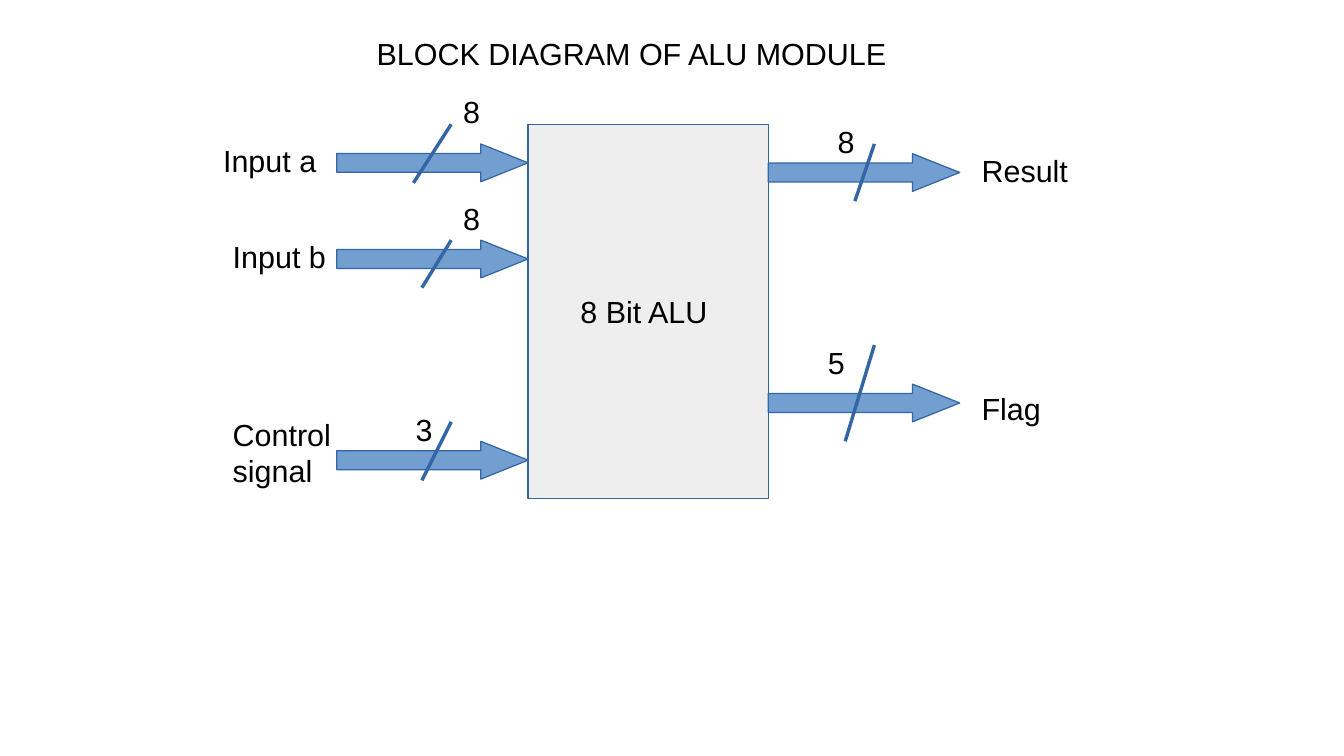
from pptx import Presentation
from pptx import util as u
from pptx.dml.color import RGBColor
from pptx.enum import shapes, text
from pptx.oxml.ns import qn
from lxml import etree

Pt = u.Pt
BLUE, LINE, GREY, BLACK = "729FCF", "3465A4", "EEEEEE", "000000"

deck = Presentation()
deck.slide_width, deck.slide_height = Pt(793.44), Pt(446.4)
slide = deck.slides.add_slide(deck.slide_layouts[6])
parts = slide.shapes


def color(code):
    return RGBColor.from_string(code)


def write(words, shape=None, at=None, wrap=True, align=text.PP_ALIGN.LEFT,
          anchor=text.MSO_ANCHOR.TOP, size=18, ink=BLACK):
    shape = shape or parts.add_textbox(*map(Pt, at))
    frame = shape.text_frame
    frame.word_wrap = wrap
    frame.vertical_anchor = anchor
    para = frame.paragraphs[0]
    para.alignment = align
    run = para.add_run()
    run.text = words
    run.font.name, run.font.size = "Arial", Pt(size)
    run.font.color.rgb = color(ink)


# ALU block and arrows: kind, place, fill
left, top, wide, tall = 311.8, 73.4, 141.8, 221
long, thick = 113, 22.3
west, east = left - long, left + wide

# Ports: name, name at, arrow at, bits, bits at, bits width, slash from, slash to
ports = [
    ("Input a", (124.6, 80.6), (west, 85), "8", (266.4, 51.1), 67.7,
     (266.4, 73.4), (244.1, 108)),
    ("Input b", (130.3, 136.8), (west, 141.8), "8", (266.4, 114.5), 67.7,
     (266.4, 141.8), (249.1, 169.9)),
    ("Control signal", (130.3, 241.9), (west, 260.6), "3", (238.3, 239), 39.6,
     (266.4, 249.1), (249.1, 283.7)),
    ("Result", (572.4, 86.4), (east, 90.7), "8", (487.4, 69.1), 67.7,
     (516.2, 85), (504.7, 118.8)),
    ("Flag", (572.4, 226.8), (east, 226.8), "5", (481.7, 199.4), 67.7,
     (516.2, 203.8), (499, 260.6)),
]

kinds = shapes.MSO_SHAPE
solids = [(kinds.RECTANGLE, (left, top, wide, tall), GREY)]
solids += [(kinds.RIGHT_ARROW, (*port[2], long, thick), BLUE) for port in ports]
for kind, place, fill in solids:
    solid = parts.add_shape(kind, *map(Pt, place))
    solid.shadow.inherit = False
    solid.fill.solid()
    solid.fill.fore_color.rgb = color(fill)
    solid.line.color.rgb = color(LINE)
    solid.line.width = Pt(0)
    if kind == kinds.RECTANGLE:
        write("8 Bit ALU ", shape=solid, wrap=False,
              align=text.PP_ALIGN.CENTER, anchor=text.MSO_ANCHOR.MIDDLE)
    else:
        solid.adjustments[0], solid.adjustments[1] = 0.5, 1.25

# Bus slashes, bit counts and port names
for name, spot, arrow, bits, mark, width, start, end in ports:
    slash = parts.add_connector(shapes.MSO_CONNECTOR.STRAIGHT, *map(Pt, start + end))
    slash.line.color.rgb = color(LINE)
    slash.line.width = Pt(0)
    etree.SubElement(slash.element.spPr, qn("a:effectLst"))
    write(bits, at=(*mark, width, 27.4))
    write(name, at=(*spot, 73.5, 47.5 if " s" in name else 27.4))

# Title
write("BLOCK DIAGRAM OF ALU MODULE", at=(215.3, 17.3, 363, 27.4))

deck.save("out.pptx")
